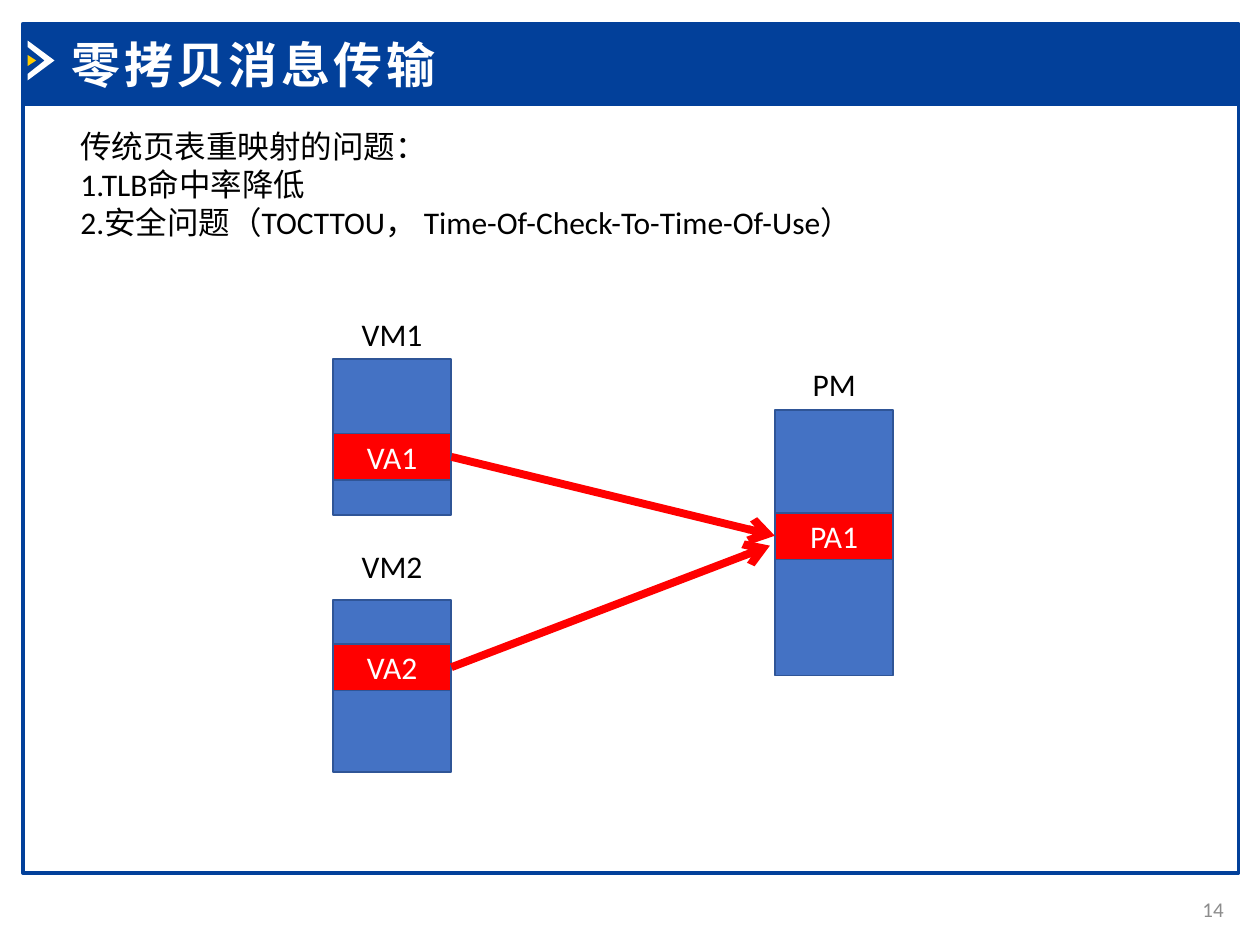
from lxml.etree import SubElement
from pptx import Presentation
from pptx.dml.color import RGBColor
from pptx.enum.shapes import MSO_CONNECTOR as CONN, MSO_SHAPE as SHAPE
from pptx.enum.text import MSO_ANCHOR as ANCHOR, MSO_AUTO_SIZE as AUTO, PP_ALIGN as ALIGN
from pptx.oxml.ns import qn
from pptx.util import Cm, Pt

NAVY, BLUE, EDGE, RED = "02409A", "4472C4", "2F5597", "FF0000"


def paint(sp, fill=None, line=None, width=1):
    """Set fill and outline (None means none) and drop the shadow."""
    sp.shadow.inherit = False
    for part, color in ((sp.fill, fill), (sp.line.fill, line)):
        if color:
            part.solid()
            part.fore_color.rgb = RGBColor.from_string(color)
        else:
            part.background()
    if line:
        sp.line.width = Pt(width)


def write(sp, lines, size=18, color="000000", align=ALIGN.LEFT, anchor=ANCHOR.TOP, bold=False):
    tf = sp.text_frame
    frame = {"word_wrap": True, "auto_size": AUTO.NONE, "vertical_anchor": anchor}
    for name, value in frame.items():
        setattr(tf, name, value)
    tf.text = "\n".join(lines)
    for p in tf.paragraphs:
        p.alignment = align
        for r in p.runs:
            font = {"name": "Calibri", "size": Pt(size), "bold": bold}
            for name, value in font.items():
                setattr(r.font, name, value)
            r.font.color.rgb = RGBColor.from_string(color)


prs = Presentation()
prs.slide_width, prs.slide_height = Cm(25.4), Cm(19.05)
s = prs.slides.add_slide(prs.slide_layouts[5])
shapes = s.shapes

# Frame and title bar
for top, height, fill in ((2.11, 15.49, None), (0.48, 1.63, NAVY)):
    sp = shapes.add_shape(SHAPE.RECTANGLE, Cm(0.46), Cm(top), Cm(24.51), Cm(height))
    paint(sp, fill, NAVY, 2)

# Chevron and its small yellow triangle
chevron = [(0.56, 0.82), (0.56, 0.95), (0.9, 1.22), (0.56, 1.49), (0.56, 1.62), (1.1, 1.22)]
triangle = [(0.56, 1.11), (0.56, 1.33), (0.73, 1.22)]
for outline, fill in ((chevron, "FFFFFF"), (triangle, "FFCC00")):
    points = [(Cm(x), Cm(y)) for x, y in outline]
    builder = shapes.build_freeform(*points[0])
    builder.add_line_segments(points[1:])
    paint(builder.convert_to_shape(), fill)

# Title, brought in front of its bar
title = shapes.title
title.left, title.top, title.width, title.height = Cm(1.19), Cm(0.56), Cm(15.44), Cm(1.45)
write(title, ["零拷贝消息传输"], 28, "FFFFFF", bold=True)
title.text_frame.paragraphs[0].runs[0].font._element.set("spc", "200")
shapes.element.append(title.element)

number = shapes.add_textbox(Cm(23.42), Cm(17.81), Cm(1.5), Cm(1.02))
write(number, ["14"], 12, "8C8C8C", ALIGN.RIGHT, ANCHOR.MIDDLE)

problems = shapes.add_textbox(Cm(1.37), Cm(2.44), Cm(22.4), Cm(2.57))
write(problems, [
    "传统页表重映射的问题：",
    "1.TLB命中率降低",
    "2.安全问题（TOCTTOU， Time-Of-Check-To-Time-Of-Use）",
])

# Memory blocks, each with a label above and one red page inside
BLOCK_W, PAGE_H, LABEL_H = Cm(2.39), Cm(0.94), Cm(1.02)
memories = [
    # label, page, left, label top, block top, block height, page top
    ("VM1", "VA1", 6.71, 6.22, 7.24, 3.15, 8.74),
    ("VM2", "VA2", 6.71, 10.9, 12.09, 3.48, 12.98),
    ("PM", "PA1", 15.62, 7.24, 8.26, 5.36, 10.34),
]
pages = {}
for label, page, left, label_top, top, height, page_top in memories:
    block = shapes.add_shape(SHAPE.RECTANGLE, Cm(left), Cm(top), BLOCK_W, Cm(height))
    paint(block, BLUE, EDGE)
    sp = shapes.add_shape(SHAPE.RECTANGLE, Cm(left), Cm(page_top), BLOCK_W, PAGE_H)
    paint(sp, RED, EDGE)
    write(sp, [page], color="FFFFFF", align=ALIGN.CENTER, anchor=ANCHOR.MIDDLE)
    pages[page] = sp
    caption = shapes.add_textbox(Cm(left), Cm(label_top), BLOCK_W, LABEL_H)
    write(caption, [label], align=ALIGN.CENTER)

# Both virtual pages map to the same physical page
RIGHT_SIDE = 3
for page, end_x, end_y in (("VA1", 15.62, 10.8), ("VA2", 15.52, 11)):
    arrow = shapes.add_connector(CONN.STRAIGHT, 0, 0, Cm(end_x), Cm(end_y))
    arrow.begin_connect(pages[page], RIGHT_SIDE)
    arrow.line.width = Pt(4.5)
    arrow.line.color.rgb = RGBColor.from_string(RED)
    SubElement(arrow.line._get_or_add_ln(), qn("a:tailEnd"), type="arrow")
    SubElement(arrow.element.spPr, qn("a:effectLst"))

prs.save("out.pptx")
